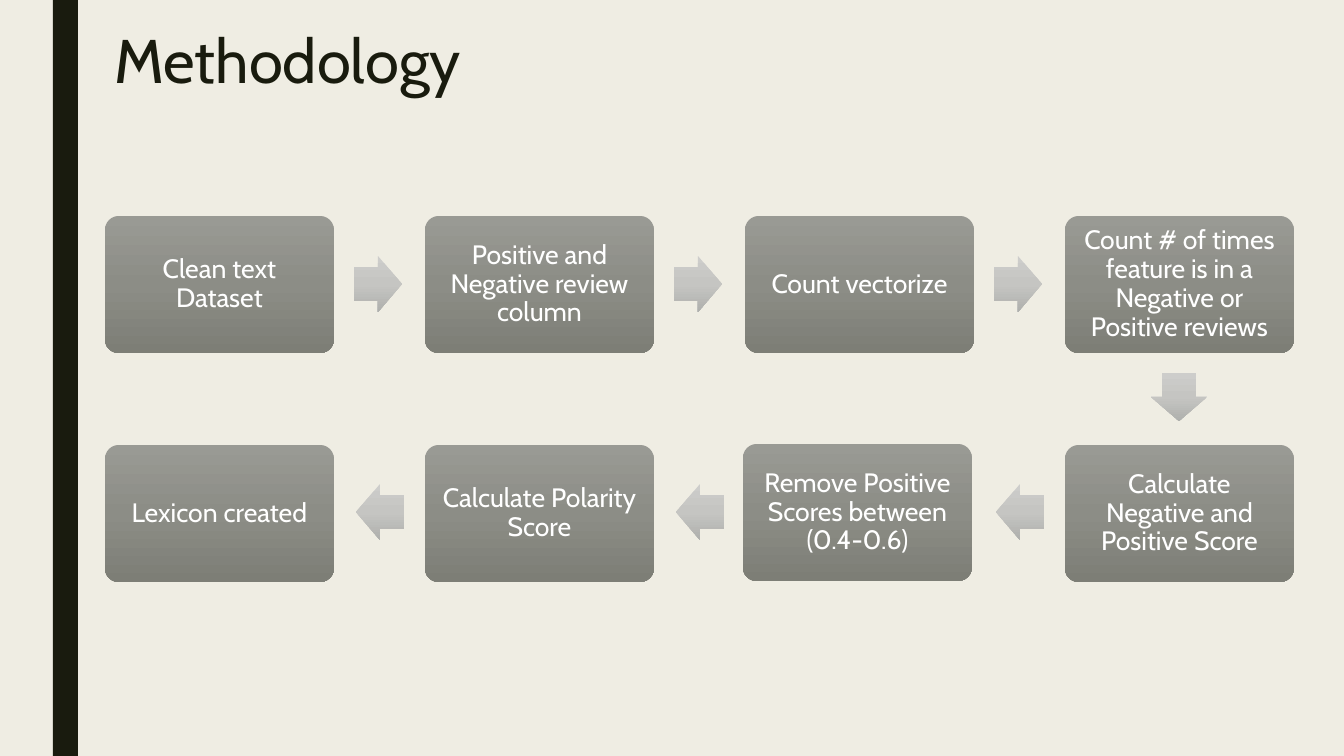
"""Build the Methodology slide: eight steps in a snaking flow."""
from dataclasses import dataclass

from pptx import Presentation
from pptx.dml.color import RGBColor as Rgb
from pptx.enum.shapes import MSO_SHAPE as Preset
from pptx.enum.text import MSO_ANCHOR as Anchor, MSO_AUTO_SIZE as AutoSize, PP_ALIGN as Align
from pptx.oxml import parse_xml
from pptx.oxml.ns import nsdecls, qn
from pptx.shapes.autoshape import Shape
from pptx.slide import Slide
from pptx.text.text import TextFrame
from pptx.util import Emu, Pt

SLIDE_WIDTH, SLIDE_HEIGHT = 1344, 756
EMU_PER_PX = 12192000 / SLIDE_WIDTH
COLUMNS = 4
COLUMN_STEP = 320
BOX_LEFT, BOX_WIDTH, BOX_HEIGHT = 105, 229, 137
ROW_TOPS = (216, 445)
ARROW_WIDTH, ARROW_HEIGHT = 48, 56


@dataclass(frozen=True)
class Theme:
    font: str = "Cabin"
    background: str = "EFEDE3"
    ink: str = "191B0E"
    box_text: str = "FFFFFF"
    box_fill: tuple[str, ...] = ("999A94", "8C8D86", "7D7E76")
    arrow_fill: tuple[str, ...] = ("CDCDCB", "C5C5C2", "AFB0AD")
    title_size: int = 44
    box_size: int = 19


@dataclass(frozen=True)
class Step:
    text: str
    shift_x: int = 0
    shift_y: int = 0


@dataclass(frozen=True)
class Arrow:
    left: int
    top: int
    rotation: int = 0


THEME = Theme()
STEPS = (
    Step("Clean text Dataset"),
    Step("Positive and Negative review column"),
    Step("Count vectorize"),
    Step("Count # of times feature is in a Negative or Positive reviews"),
    Step("Calculate Negative and Positive Score"),
    Step("Remove Positive Scores between (0.4-0.6)", shift_x=-2, shift_y=-1),
    Step("Calculate Polarity Score"),
    Step("Lexicon created"),
)
ARROWS = (
    *(Arrow(354 + COLUMN_STEP * gap, 256) for gap in range(COLUMNS - 1)),
    Arrow(1155, 369, rotation=90),
    *(Arrow(356 + COLUMN_STEP * gap, 484, rotation=180) for gap in reversed(range(COLUMNS - 1))),
)


def px(length: int) -> Emu:
    """Turn pixels into EMU."""
    return Emu(round(length * EMU_PER_PX))


def write_text(frame: TextFrame, text: str, *, size: int, color: str,
               align: Align, anchor: Anchor, spacing: float) -> None:
    """Fill a text frame with one formatted paragraph."""
    frame.word_wrap = True
    frame.auto_size = AutoSize.NONE
    frame.vertical_anchor = anchor
    para = frame.paragraphs[0]
    para.alignment = align
    para.line_spacing = spacing
    span = para.add_run()
    span.text = text
    span.font.name = THEME.font
    span.font.size = Pt(size)
    span.font.color.rgb = Rgb.from_string(color)


def add_plain_shape(page: Slide, preset: Preset, left: int, top: int,
                    width: int, height: int) -> Shape:
    """Add a preset shape without outline or shadow."""
    shape = page.shapes.add_shape(preset, px(left), px(top), px(width), px(height))
    shape.shadow.inherit = False
    shape.line.fill.background()
    return shape


def fill_downward(shape: Shape, colors: tuple[str, ...]) -> None:
    """Shade a shape from top to bottom, whatever its rotation."""
    stops = "".join(
        f'<a:gs pos="{100000 * index // (len(colors) - 1)}"><a:srgbClr val="{color}"/></a:gs>'
        for index, color in enumerate(colors)
    )
    gradient = parse_xml(
        f'<a:gradFill {nsdecls("a")} rotWithShape="0"><a:gsLst>{stops}</a:gsLst>'
        '<a:lin ang="5400000" scaled="0"/></a:gradFill>'
    )
    shape.fill.gradient()
    properties = shape.element.spPr
    properties.replace(properties.find(qn("a:gradFill")), gradient)


def add_title(page: Slide, text: str) -> None:
    """Place and format the title placeholder."""
    title = page.shapes.title
    title.left, title.top, title.width, title.height = px(104), px(26), px(1058), px(163)
    write_text(title.text_frame, text, size=THEME.title_size, color=THEME.ink,
               align=Align.LEFT, anchor=Anchor.TOP, spacing=0.89)


def add_step(page: Slide, index: int, step: Step) -> None:
    """Draw a step box, running right on the first row and left on the second."""
    row, offset = divmod(index, COLUMNS)
    column = COLUMNS - 1 - offset if row else offset
    box = add_plain_shape(page, Preset.ROUNDED_RECTANGLE,
                          BOX_LEFT + COLUMN_STEP * column + step.shift_x,
                          ROW_TOPS[row] + step.shift_y, BOX_WIDTH, BOX_HEIGHT)
    box.adjustments[0] = 0.1
    fill_downward(box, THEME.box_fill)
    frame = box.text_frame
    frame.margin_left = frame.margin_right = frame.margin_top = frame.margin_bottom = px(12)
    write_text(frame, step.text, size=THEME.box_size, color=THEME.box_text,
               align=Align.CENTER, anchor=Anchor.MIDDLE, spacing=0.9)


def add_arrow(page: Slide, arrow: Arrow) -> None:
    """Draw a block arrow between two steps."""
    shape = add_plain_shape(page, Preset.RIGHT_ARROW, arrow.left, arrow.top,
                            ARROW_WIDTH, ARROW_HEIGHT)
    shape.adjustments[0] = 0.6
    shape.adjustments[1] = 0.5
    shape.rotation = arrow.rotation
    fill_downward(shape, THEME.arrow_fill)


def main() -> None:
    """Build and save the deck."""
    deck = Presentation()
    deck.slide_width, deck.slide_height = px(SLIDE_WIDTH), px(SLIDE_HEIGHT)
    page = deck.slides.add_slide(deck.slide_layouts.get_by_name("Title Only"))
    page.background.fill.solid()
    page.background.fill.fore_color.rgb = Rgb.from_string(THEME.background)
    stripe = add_plain_shape(page, Preset.RECTANGLE, 53, 0, 25, SLIDE_HEIGHT)
    stripe.fill.solid()
    stripe.fill.fore_color.rgb = Rgb.from_string(THEME.ink)
    add_title(page, "Methodology")
    for index, step in enumerate(STEPS):
        add_step(page, index, step)
    for arrow in ARROWS:
        add_arrow(page, arrow)
    deck.save("out.pptx")


if __name__ == "__main__":
    main()
